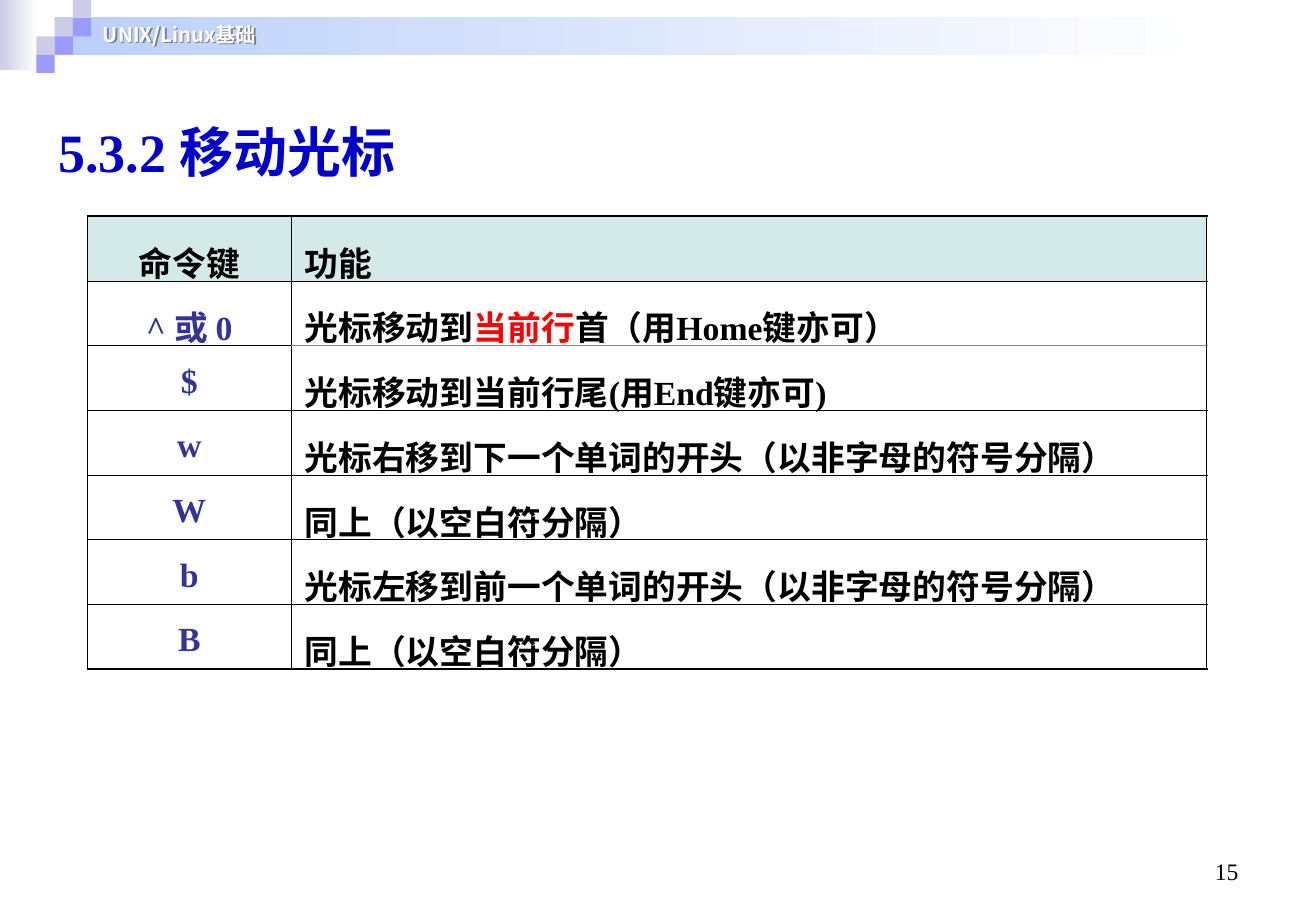
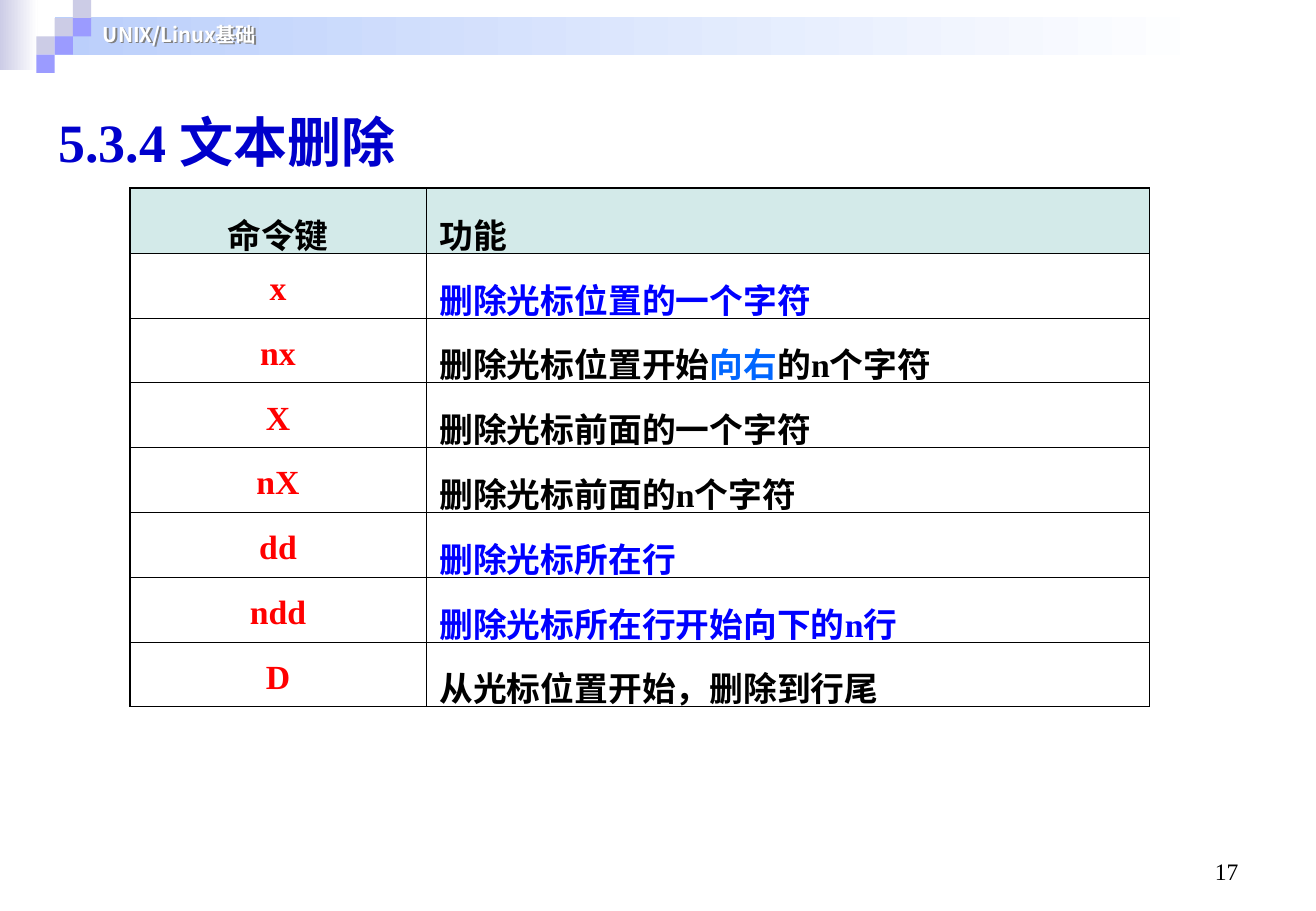
"""Builds two slides of editor command tables on a shared banner layout."""
from dataclasses import dataclass

from lxml import etree
from pptx import Presentation
from pptx.dml.color import RGBColor
from pptx.enum.lang import MSO_LANGUAGE_ID
from pptx.enum.shapes import MSO_CONNECTOR, MSO_SHAPE
from pptx.enum.text import MSO_ANCHOR, MSO_AUTO_SIZE, PP_ALIGN
from pptx.oxml.ns import qn
from pptx.util import Inches, Pt

RECTANGLE, STRAIGHT = MSO_SHAPE.RECTANGLE, MSO_CONNECTOR.STRAIGHT
CHINESE = MSO_LANGUAGE_ID.SIMPLIFIED_CHINESE
TOP, MIDDLE, BOTTOM = MSO_ANCHOR.TOP, MSO_ANCHOR.MIDDLE, MSO_ANCHOR.BOTTOM
FIXED = MSO_AUTO_SIZE.NONE
LEFT, CENTER, RIGHT = PP_ALIGN.LEFT, PP_ALIGN.CENTER, PP_ALIGN.RIGHT


@dataclass(frozen=True)
class Theme:
    serif: str = "Times New Roman"
    sans: str = "Noto Sans CJK JP"
    title_size: int = 32
    table_size: int = 20
    number_size: int = 14
    banner_size: int = 12
    title: str = "0000CC"
    white: str = "FFFFFF"
    black: str = "000000"
    red: str = "FF0000"
    blue: str = "0000FF"
    sky: str = "0066FF"
    indigo: str = "333399"
    header: str = "D3EAE9"
    band: str = "BBCFFB"
    lilac: str = "CCCCE6"
    violet: str = "9B9BFF"
    grey: str = "808080"
    rule_line: float = 2.25
    outer_line: float = 1.08
    inner_line: float = 0.45


THEME = Theme()
BANNER = "UNIX/Linux基础"
HEADINGS = ("命令键", "功能")
TILE = 0.15
TILES = [(3, 1, THEME.lilac), (4, 0, THEME.lilac), (4, 1, THEME.violet),
         (2, 2, THEME.lilac), (3, 2, THEME.violet), (2, 3, THEME.violet)]
FADES = [((0, 0, 0.31, 0.58), THEME.lilac), ((0.45, 0.14, 9.55, 0.31), THEME.band)]

SLIDES = [
    {
        "title": "5.3.2 移动光标", "title_top": 0.92, "number": "15",
        "place": (0.72, 1.78, 3.73), "columns": (1.68, 7.54),
        "key_colour": THEME.indigo, "faint_row": 1,
        "commands": [
            ("^ 或 0", [("光标移动到", THEME.black), ("当前行", THEME.red),
                       ("首（用Home键亦可）", THEME.black)]),
            ("$", [("光标移动到当前行尾(用End键亦可)", THEME.black)]),
            ("w", [("光标右移到下一个单词的开头（以非字母的符号分隔）", THEME.black)]),
            ("W", [("同上（以空白符分隔）", THEME.black)]),
            ("b", [("光标左移到前一个单词的开头（以非字母的符号分隔）", THEME.black)]),
            ("B", [("同上（以空白符分隔）", THEME.black)]),
        ],
    },
    {
        "title": "5.3.4 文本删除", "title_top": 0.84, "number": "17",
        "place": (1.07, 1.55, 4.27), "columns": (2.44, 5.96),
        "key_colour": THEME.red, "faint_row": None,
        "commands": [
            ("x", [("删除光标位置的一个字符", THEME.blue)]),
            ("nx", [("删除光标位置开始", THEME.black), ("向右", THEME.sky),
                    ("的n个字符", THEME.black)]),
            ("X", [("删除光标前面的一个字符", THEME.black)]),
            ("nX", [("删除光标前面的n个字符", THEME.black)]),
            ("dd", [("删除光标所在行", THEME.blue)]),
            ("ndd", [("删除光标所在行开始向下的n行", THEME.blue)]),
            ("D", [("从光标位置开始，删除到行尾", THEME.black)]),
        ],
    },
]


def write(paragraph, pieces, size, align=LEFT, bold=True, font=THEME.serif):
    paragraph.alignment = align
    for text, colour in pieces:
        run = paragraph.add_run()
        run.text = text
        run.font.size, run.font.bold, run.font.name = Pt(size), bold, font
        run.font.language_id = CHINESE
        run.font.color.rgb = RGBColor.from_string(colour)
        east_asian = etree.SubElement(run.font._element, qn("a:ea"))
        east_asian.set("typeface", THEME.sans)


def set_frame(frame, anchor):
    frame.word_wrap, frame.auto_size, frame.vertical_anchor = True, FIXED, anchor
    return frame.paragraphs[0]


def add_text(slide, box, anchor):
    label = slide.shapes.add_textbox(*map(Inches, box))
    return label, set_frame(label.text_frame, anchor)


def add_block(slide, box, colour, fades=False):
    block = slide.shapes.add_shape(RECTANGLE, *map(Inches, box))
    block.shadow.inherit = False
    block.line.fill.background()
    if fades:
        block.fill.gradient()
        block.fill.gradient_angle = 0
        for stop, position, tone in zip(block.fill.gradient_stops, (0, 1),
                                        (colour, THEME.white)):
            stop.position, stop.color.rgb = position, RGBColor.from_string(tone)
    else:
        block.fill.solid()
        block.fill.fore_color.rgb = RGBColor.from_string(colour)
    return block


def add_rule(slide):
    rule = slide.shapes.add_connector(STRAIGHT, *map(Inches, (0.2, 0.49, 7.44, 0.49)))
    rule.line.color.rgb = RGBColor.from_string(THEME.white)
    rule.line.width = Pt(THEME.rule_line)
    etree.SubElement(rule.element.spPr, qn("a:effectLst"))
    return rule


def add_text_shadow(label):
    label.shadow.inherit = False
    effects = label.element.spPr.find(qn("a:effectLst"))
    shadow = etree.SubElement(effects, qn("a:outerShdw"), dist="17961", dir="2700000")
    etree.SubElement(shadow, qn("a:srgbClr"), val=THEME.grey)


def move_banner_to_layout(slide, layout):
    parts = [add_rule(slide)]
    parts += [add_block(slide, box, colour, True) for box, colour in FADES]
    parts += [add_block(slide, (column * TILE, row * TILE, TILE, TILE), colour)
              for column, row, colour in TILES]
    banner, paragraph = add_text(slide, (0.75, 0.13, 5.35, 0.3), MIDDLE)
    write(paragraph, [(BANNER, THEME.white)], THEME.banner_size, font=THEME.sans)
    add_text_shadow(banner)
    for part in parts + [banner]:
        layout.shapes.element.append(part.element)


def set_border(cell, side, colour, width):
    edge = etree.SubElement(cell._tc.get_or_add_tcPr(), qn(f"a:ln{side}"),
                            w=str(Pt(width)))
    fill = etree.SubElement(edge, qn("a:solidFill"))
    etree.SubElement(fill, qn("a:srgbClr"), val=colour)


def add_commands(slide, content):
    rows = [(HEADINGS[0], THEME.black, [(HEADINGS[1], THEME.black)])]
    rows += [(key, content["key_colour"], use) for key, use in content["commands"]]
    left, top, height = content["place"]
    columns, faint = content["columns"], content["faint_row"]
    table = slide.shapes.add_table(
        len(rows), len(columns), Inches(left), Inches(top),
        Inches(sum(columns)), Inches(height)).table
    table.first_row = table.horz_banding = False
    for column, width in zip(table.columns, columns):
        column.width = Inches(width)
    for r, (key, key_colour, use) in enumerate(rows):
        for c, (pieces, align) in enumerate([([(key, key_colour)], CENTER), (use, LEFT)]):
            cell = table.cell(r, c)
            cell.margin_left = cell.margin_right = Inches(0.11)
            cell.margin_top, cell.margin_bottom = Inches(0.05), Inches(-0.05)
            cell.vertical_anchor = TOP
            paragraph = cell.text_frame.paragraphs[0]
            paragraph.line_spacing = 1.3
            write(paragraph, pieces, THEME.table_size, align)
            outer = {"L": c == 0, "R": c == len(columns) - 1,
                     "T": r == 0, "B": r == len(rows) - 1}
            for side, is_outer in outer.items():
                is_faint = faint is not None and c == 1 and (
                    (r, side) in ((faint, "B"), (faint + 1, "T")))
                set_border(cell, side, THEME.grey if is_faint else THEME.black,
                           THEME.outer_line if is_outer else THEME.inner_line)
            if r == 0:
                cell.fill.solid()
                cell.fill.fore_color.rgb = RGBColor.from_string(THEME.header)
            else:
                cell.fill.background()


def build_slide(slide, content):
    title = slide.shapes.title
    title.left, title.top, title.width, title.height = map(
        Inches, (0.38, content["title_top"], 6.53, 0.64))
    write(set_frame(title.text_frame, MIDDLE), [(content["title"], THEME.title)],
          THEME.title_size)
    add_commands(slide, content)
    _, number = add_text(slide, (7.77, 6.82, 2.53, 0.52), BOTTOM)
    write(number, [(content["number"], THEME.black)], THEME.number_size, RIGHT, False)


def main():
    deck = Presentation()
    deck.slide_width, deck.slide_height = Inches(10.84), Inches(7.5)
    layout = deck.slide_layouts.get_by_name("Title Only")
    slides = [deck.slides.add_slide(layout) for _ in SLIDES]
    move_banner_to_layout(slides[0], layout)
    for slide, content in zip(slides, SLIDES):
        build_slide(slide, content)
    deck.save("out.pptx")


if __name__ == "__main__":
    main()
